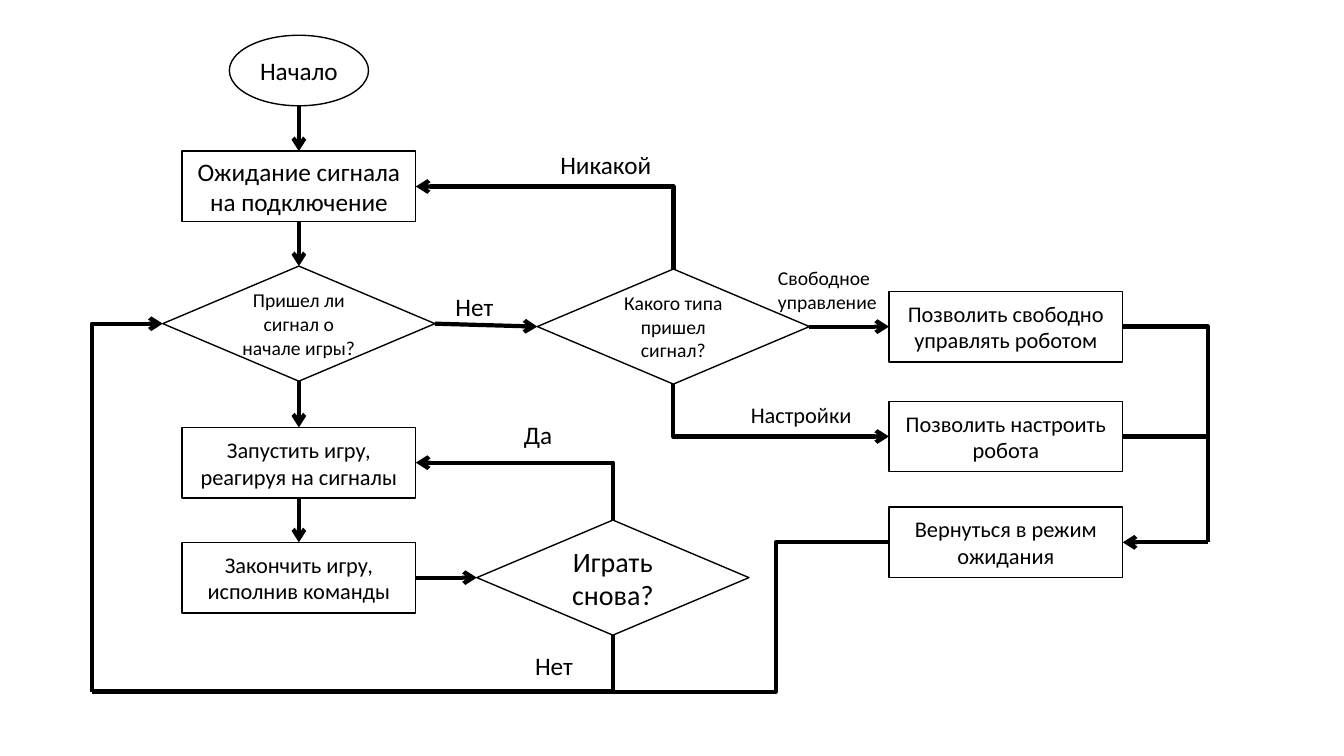
import pptx
import pptx.dml.color
import pptx.enum.shapes
import pptx.enum.text
import pptx.oxml.ns
import pptx.util
import lxml.etree

Pt = pptx.util.Pt
SHAPES = pptx.enum.shapes.MSO_SHAPE
CONNECTORS = pptx.enum.shapes.MSO_CONNECTOR
BLACK = pptx.dml.color.RGBColor(0, 0, 0)
WHITE = pptx.dml.color.RGBColor(255, 255, 255)
SIZES = {SHAPES.OVAL: (99.4, 50.4), SHAPES.RECTANGLE: (167, 50.4), SHAPES.DIAMOND: (194.4, 82.2)}
TOP, LEFT, BOTTOM, RIGHT = range(4)
RETURN_LEVEL = 494


def write_text(shape, lines, size, frame_format, alignment):
    frame = shape.text_frame
    for name, value in frame_format.items():
        setattr(frame, name, value)
    for index, line in enumerate(lines):
        para = frame.add_paragraph() if index else frame.paragraphs[0]
        para.alignment = alignment
        span = para.add_run()
        span.text = line
        for name, value in {"name": "Calibri", "size": Pt(size)}.items():
            setattr(span.font, name, value)
        span.font.color.rgb = BLACK


def add_step(page, kind, center, middle, text, size):
    width, height = SIZES[kind]
    step = page.shapes.add_shape(
        kind, Pt(center - width / 2), Pt(middle - height / 2), Pt(width), Pt(height))
    step.shadow.inherit = False
    step.fill.solid()
    step.fill.fore_color.rgb = WHITE
    step.line.color.rgb = BLACK
    step.line.width = Pt(1)
    write_text(step, [text], size,
               {"word_wrap": True, "vertical_anchor": pptx.enum.text.MSO_ANCHOR.MIDDLE},
               pptx.enum.text.PP_ALIGN.CENTER)
    return step


def add_label(page, left, top, width, height, lines, size, wrap=False):
    label = page.shapes.add_textbox(Pt(left), Pt(top), Pt(width), Pt(height))
    write_text(label, lines, size,
               {"word_wrap": wrap, "auto_size": pptx.enum.text.MSO_AUTO_SIZE.SHAPE_TO_FIT_TEXT},
               pptx.enum.text.PP_ALIGN.LEFT)


def side_point(step, side):
    center, middle = step.left + step.width // 2, step.top + step.height // 2
    return {TOP: (center, step.top), LEFT: (step.left, middle),
            BOTTOM: (center, step.top + step.height),
            RIGHT: (step.left + step.width, middle)}[side]


def add_link(page, start, end, arrow=None, kind=CONNECTORS.STRAIGHT, bend=None):
    link = page.shapes.add_connector(kind, *start, *end)
    link.line.color.rgb = BLACK
    link.line.width = Pt(3)
    properties = link._element.spPr
    if arrow:
        line = link.line._get_or_add_ln()
        lxml.etree.SubElement(line, pptx.oxml.ns.qn("a:" + arrow), type="arrow")
    lxml.etree.SubElement(properties, pptx.oxml.ns.qn("a:effectLst"))
    geometry = properties.find(pptx.oxml.ns.qn("a:prstGeom"))
    if kind == CONNECTORS.ELBOW and bend is None:
        geometry.set("prst", "bentConnector2")
    elif bend is not None:
        guides = geometry.find(pptx.oxml.ns.qn("a:avLst"))
        lxml.etree.SubElement(guides, pptx.oxml.ns.qn("a:gd"),
                              name="adj1", fmla=f"val {round(bend * 100000)}")
    return link


def add_corner(page, start, end, arrow=None):
    return add_link(page, start, end, arrow, CONNECTORS.ELBOW)


def join_steps(page, first, first_side, second, second_side):
    link = add_link(page, side_point(first, first_side), side_point(second, second_side), "tailEnd")
    if first.auto_shape_type != SHAPES.OVAL:
        link.begin_connect(first, first_side)
    link.end_connect(second, second_side)


def draw_game_column(page, left, top, width):
    center = left + width / 2
    rows = [
        ("start", SHAPES.OVAL, 25.2, "Начало", 18),
        ("wait", SHAPES.RECTANGLE, 108, "Ожидание сигнала на подключение", 18),
        ("asked", SHAPES.DIAMOND, 206, "Пришел ли сигнал о начале игры?", 14),
        ("play", SHAPES.RECTANGLE, 305.3, "Запустить игру, реагируя на сигналы", 16),
        ("finish", SHAPES.RECTANGLE, 387.4, "Закончить игру, исполнив команды", 16),
    ]
    steps = {name: add_step(page, kind, center, top + offset, text, size)
             for name, kind, offset, text, size in rows}
    column = list(steps.values())
    for upper, lower in zip(column, column[1:]):
        join_steps(page, upper, BOTTOM, lower, TOP)
    return steps


def draw_questions(page, left, top):
    steps = {
        "type": add_step(page, SHAPES.DIAMOND, left + 140.4, top + 130.3,
                         "Какого типа пришел сигнал?", 14),
        "again": add_step(page, SHAPES.DIAMOND, left + 97.2, top + 309.6, "Играть снова?", 20),
    }
    add_label(page, left + 52.5, top, 80.6, 28.8, ["Никакой"], 18)
    add_label(page, left - 22.4, top + 101.5, 44.6, 28.8, ["Нет"], 18, True)
    add_label(page, left + 26.6, top + 192.9, 35.3, 28.8, ["Да"], 18)
    add_label(page, left + 34.5, top + 357.8, 41.8, 28.8, ["Нет"], 18, True)
    return steps


def draw_modes(page, left, top, width):
    rows = [
        ("free", 25.2, "Позволить свободно управлять роботом"),
        ("setup", 103.7, "Позволить настроить робота"),
        ("back", 179.3, "Вернуться в режим ожидания"),
    ]
    steps = {name: add_step(page, SHAPES.RECTANGLE, left + width / 2, top + offset, text, 16)
             for name, offset, text in rows}
    add_label(page, left - 86.4, top - 21.6, 85.7, 41, ["Свободное", "управление"], 14)
    add_label(page, left - 105.8, top + 74.9, 87.1, 26.6, ["Настройки"], 16)
    rail = Pt(left + width + 60.6)
    back_right = side_point(steps["back"], RIGHT)
    setup_right = side_point(steps["setup"], RIGHT)
    rail_end = (rail, back_right[1])
    add_corner(page, side_point(steps["free"], RIGHT), rail_end)
    add_link(page, setup_right, (rail, setup_right[1]))
    add_link(page, rail_end, back_right, "tailEnd")
    return steps


def draw_branches(page, steps, left):
    join_steps(page, steps["asked"], RIGHT, steps["type"], LEFT)
    join_steps(page, steps["type"], RIGHT, steps["free"], LEFT)
    join_steps(page, steps["finish"], RIGHT, steps["again"], LEFT)
    for target, target_side, question, question_side in [
        ("wait", RIGHT, "type", TOP),
        ("setup", LEFT, "type", BOTTOM),
        ("play", RIGHT, "again", TOP),
    ]:
        add_corner(page, side_point(steps[target], target_side),
                   side_point(steps[question], question_side), "headEnd")
    return_corner = (Pt(left), Pt(RETURN_LEVEL))
    again_bottom = side_point(steps["again"], BOTTOM)
    add_corner(page, side_point(steps["asked"], LEFT), return_corner, "headEnd")
    add_corner(page, return_corner, again_bottom)
    add_link(page, side_point(steps["back"], LEFT), (again_bottom[0], Pt(RETURN_LEVEL)),
             kind=CONNECTORS.ELBOW, bend=0.41)


def main():
    deck = pptx.Presentation()
    deck.slide_width, deck.slide_height = Pt(960), Pt(540)
    page = deck.slides.add_slide(deck.slide_layouts[6])
    steps = draw_game_column(page, 116.3, 25.2, 194.4)
    steps.update(draw_questions(page, 340.6, 103))
    steps.update(draw_modes(page, 635, 208.1, 167))
    draw_branches(page, steps, 65.5)
    deck.save("out.pptx")


if __name__ == "__main__":
    main()
